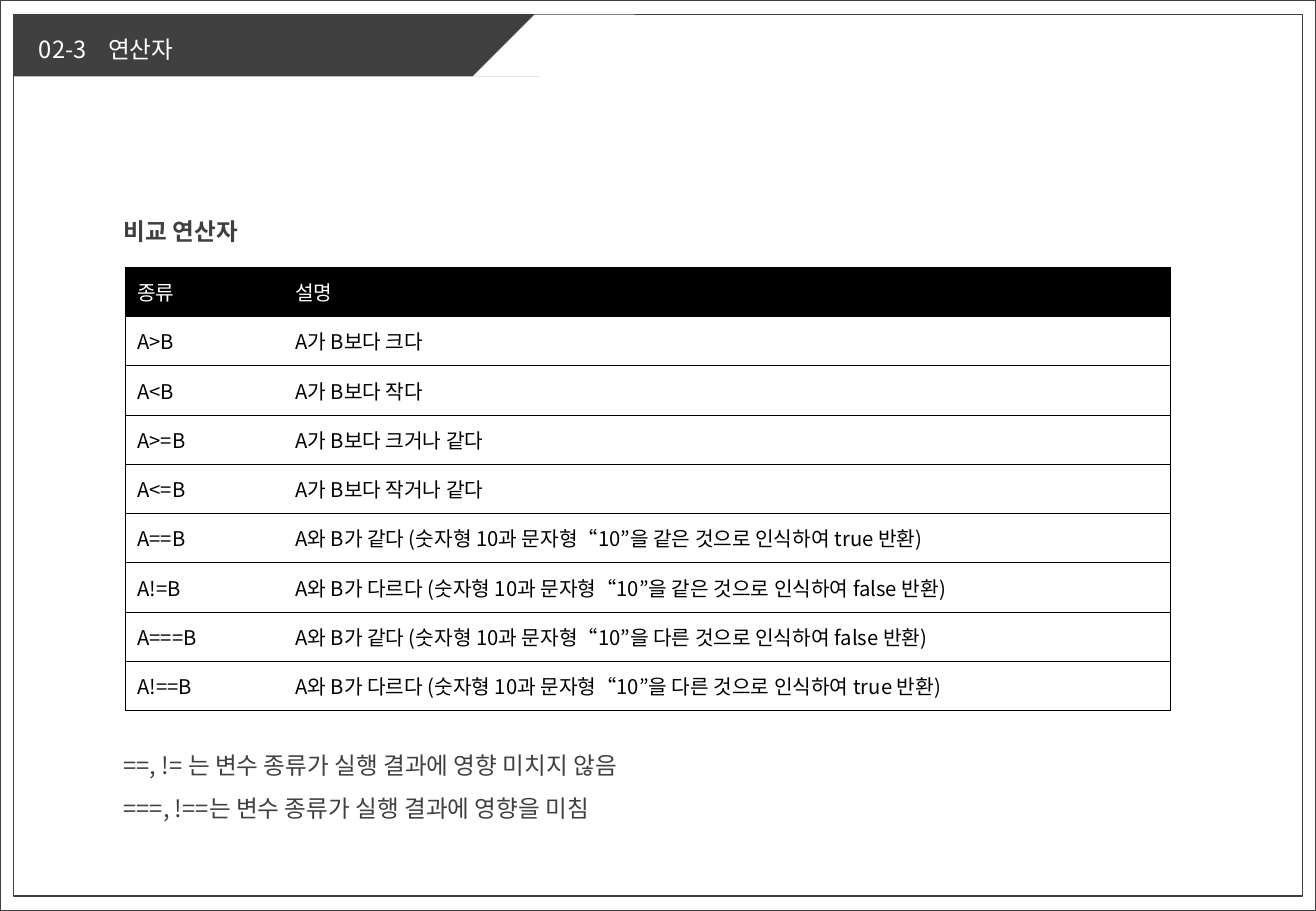
from dataclasses import dataclass

from lxml.etree import SubElement
from pptx import Presentation
from pptx.dml.color import RGBColor
from pptx.enum.shapes import MSO_SHAPE
from pptx.enum.text import MSO_ANCHOR, MSO_AUTO_SIZE, PP_ALIGN
from pptx.oxml.ns import qn
from pptx.util import Inches, Pt


@dataclass(frozen=True)
class Theme:
    font: str = "Noto Sans CJK KR"
    dark: RGBColor = RGBColor(0x40, 0x40, 0x40)
    black: RGBColor = RGBColor(0, 0, 0)
    white: RGBColor = RGBColor(255, 255, 255)
    heading_size: int = 14
    table_size: int = 12
    frame_line: float = 1
    cell_line: float = 0.5


theme = Theme()


def write(frame, *lines, size=theme.heading_size, color=theme.dark, bold=False,
          spacing=1.5, anchor=MSO_ANCHOR.TOP):
    """Fill a text frame, one paragraph per line."""
    frame.word_wrap = True
    frame.vertical_anchor = anchor
    for index, line in enumerate(lines):
        para = frame.paragraphs[0] if index == 0 else frame.add_paragraph()
        para.alignment = PP_ALIGN.LEFT
        para.line_spacing = spacing
        para.space_before = Pt(0)
        span = para.add_run()
        span.text = line
        font = span.font
        font.name, font.size, font.bold = theme.font, Pt(size), bold
        font.color.rgb = color
        SubElement(span._r.get_or_add_rPr(), qn("a:ea"), typeface=theme.font)


def add_panel(kind, left, top, width, height, fill, line=None):
    panel = page.shapes.add_shape(
        kind, Inches(left), Inches(top), Inches(width), Inches(height))
    panel.shadow.inherit = False
    panel.fill.solid()
    panel.fill.fore_color.rgb = fill
    if line is None:
        panel.line.fill.background()
    else:
        panel.line.color.rgb = line
        panel.line.width = Pt(theme.frame_line)
    return panel


deck = Presentation()
slide_width, slide_height = 10.83, 7.5
deck.slide_width, deck.slide_height = Inches(slide_width), Inches(slide_height)
page = deck.slides.add_slide(deck.slide_layouts[5])

# Double frame and slanted title band
margin_x, margin_y = 0.11, 0.12
band_width, band_height = 4.33, 0.51
for inset_x, inset_y in ((0, 0), (margin_x, margin_y)):
    add_panel(MSO_SHAPE.RECTANGLE, inset_x, inset_y, slide_width - 2 * inset_x,
              slide_height - 2 * inset_y, theme.white, theme.dark)
add_panel(MSO_SHAPE.RECTANGLE, margin_x, margin_y, band_width, band_height, theme.dark)
slant = add_panel(MSO_SHAPE.PARALLELOGRAM, 3.89, margin_y, 1.33, band_height, theme.white)
slant.adjustments[0] = 1

# Title, brought in front of the band
title = page.shapes.title
title.left, title.top = Inches(2 * margin_x), Inches(margin_y)
title.width, title.height = Inches(3.21), Inches(0.45)
write(title.text_frame, "02-3\t연산자", color=theme.white)
title.text_frame.auto_size = MSO_AUTO_SIZE.NONE
tab_list = SubElement(title.text_frame.paragraphs[0]._p.get_or_add_pPr(), qn("a:tabLst"))
SubElement(tab_list, qn("a:tab"), pos=str(Inches(0.57)), algn="l")
page.shapes._spTree.append(title._element)

# Heading and notes share the left edge
text_left = 0.92
for top, width, height, bold, lines in (
    (1.62, 2.59, 0.41, True, ["비교 연산자"]),
    (6.02, 6.23, 0.77, False, ["==, != 는 변수 종류가 실행 결과에 영향 미치지 않음",
                               "===, !==는 변수 종류가 실행 결과에 영향을 미침"]),
):
    box = page.shapes.add_textbox(
        Inches(text_left), Inches(top), Inches(width), Inches(height))
    write(box.text_frame, *lines, bold=bold)

# Operator table
operators = [
    ("종류", "설명"),
    ("A>B", "A가 B보다 크다"),
    ("A<B", "A가 B보다 작다"),
    ("A>=B", "A가 B보다 크거나 같다"),
    ("A<=B", "A가 B보다 작거나 같다"),
    ("A==B", "A와 B가 같다 (숫자형 10과 문자형“10”을 같은 것으로 인식하여 true 반환)"),
    ("A!=B", "A와 B가 다르다 (숫자형 10과 문자형“10”을 같은 것으로 인식하여 false 반환)"),
    ("A===B", "A와 B가 같다 (숫자형 10과 문자형“10”을 다른 것으로 인식하여 false 반환)"),
    ("A!==B", "A와 B가 다르다 (숫자형 10과 문자형“10”을 다른 것으로 인식하여 true 반환)"),
]
column_widths = (1.3, 7.3)
table = page.shapes.add_table(
    len(operators), len(column_widths), Inches(1.03), Inches(2.2),
    Inches(sum(column_widths)), Inches(3.65)).table
table.first_row = True
table.horz_banding = False
for column, width in zip(table.columns, column_widths):
    column.width = Inches(width)

for row, texts in enumerate(operators):
    is_header = row == 0
    for column, text in enumerate(texts):
        cell = table.cell(row, column)
        write(cell.text_frame, text, size=theme.table_size, spacing=1,
              color=theme.white if is_header else theme.black)
        cell.vertical_anchor = MSO_ANCHOR.MIDDLE
        properties = cell._tc.get_or_add_tcPr()
        inner_side = "lnR" if column == 0 else "lnL"
        for side in ("lnL", "lnR", "lnT", "lnB"):
            border = SubElement(properties, qn(f"a:{side}"), w=str(Pt(theme.cell_line)))
            if side == inner_side:
                SubElement(border, qn("a:noFill"))
            else:
                fill = SubElement(border, qn("a:solidFill"))
                SubElement(fill, qn("a:srgbClr"), val=str(theme.black))
        cell.fill.solid()
        cell.fill.fore_color.rgb = theme.black if is_header else theme.white

deck.save("out.pptx")
